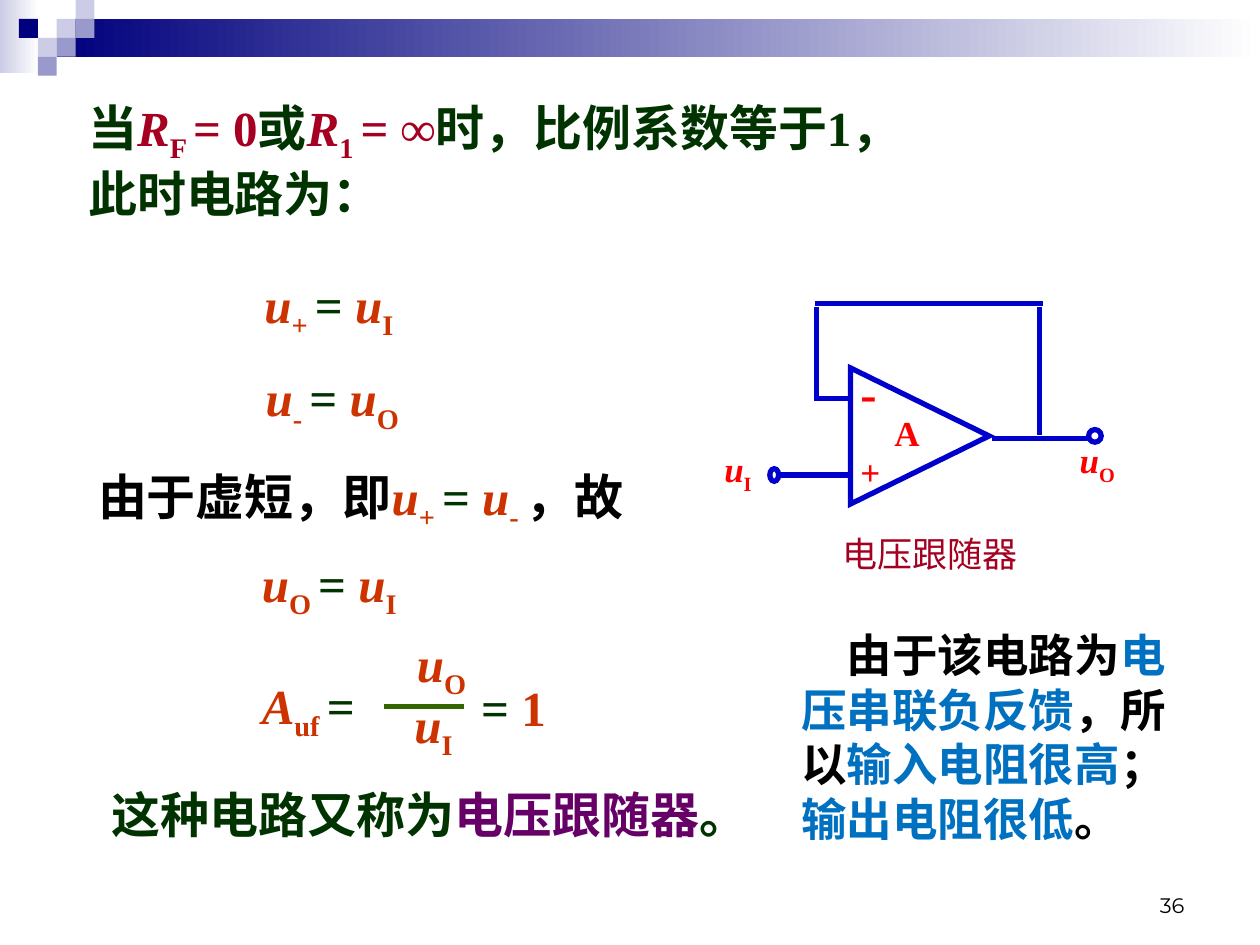
from lxml.etree import SubElement
from pptx import Presentation
from pptx.dml.color import RGBColor
from pptx.enum.shapes import MSO_CONNECTOR as CONNECTOR, MSO_SHAPE as SHAPE
from pptx.enum.text import MSO_ANCHOR as ANCHOR, MSO_AUTO_SIZE as AUTO, PP_ALIGN as ALIGN
from pptx.oxml.ns import qn
from pptx.util import Inches, Pt

COLORS = {
    "navy": "00007D", "pale": "CCCCE6", "mid": "9999CC", "white": "FFFFFF",
    "green": "003300", "crimson": "A50021", "orange": "CC3300", "black": "000000",
    "purple": "660066", "sky": "0070C0", "wire": "0000CC", "red": "FF0000",
    "bar": "336600",
}
LATIN, CJK = "Times New Roman", "Noto Sans CJK SC"


def rgb(name):
    return RGBColor.from_string(COLORS[name])


def var(name, sub, color="orange"):
    """Runs of an italic variable with its subscript."""
    return [(name, color, "i"), (sub, color, "sub")]


def add_runs(p, runs, size, font=LATIN, bold=True):
    for text, color, *style in runs:
        r = p.add_run()
        r.text = text
        r.font.name, r.font.size, r.font.bold = font, Pt(size), bold
        r.font.italic = "i" in style
        r.font.color.rgb = rgb(color)
        rPr = r._r.get_or_add_rPr()
        if "sub" in style:
            rPr.set("baseline", "-25000")
        SubElement(rPr, qn("a:ea")).set("typeface", CJK)


def add_text(slide, box, runs, size=28, **run_format):
    sp = slide.shapes.add_textbox(*map(Inches, box))
    tf = sp.text_frame
    tf.word_wrap = True
    add_runs(tf.paragraphs[0], runs, size, **run_format)
    return tf


def add_block(slide, box, fill, fade=False):
    sp = slide.shapes.add_shape(SHAPE.RECTANGLE, *map(Inches, box))
    sp.shadow.inherit = False
    sp.line.fill.background()
    if fade:
        sp.fill.gradient()
        sp.fill.gradient_angle = 0
        for stop, color, position in zip(sp.fill.gradient_stops, (fill, "white"), (0, 1)):
            stop.color.rgb = rgb(color)
            stop.position = position
    else:
        sp.fill.solid()
        sp.fill.fore_color.rgb = rgb(fill)


def add_outline(slide, kind, box, rotation=0):
    sp = slide.shapes.add_shape(kind, *map(Inches, box))
    sp.shadow.inherit = False
    sp.rotation = rotation
    sp.fill.background()
    sp.line.color.rgb = rgb("wire")
    sp.line.width = Pt(3)
    # Sharp corners
    SubElement(sp.line._get_or_add_ln(), qn("a:miter")).set("lim", "800000")


def add_line(slide, x1, y1, x2, y2, color="wire"):
    line = slide.shapes.add_connector(CONNECTOR.STRAIGHT, *map(Inches, (x1, y1, x2, y2)))
    line.line.color.rgb = rgb(color)
    line.line.width = Pt(3)
    SubElement(line._element.spPr, qn("a:effectLst"))


def add_banner(slide):
    add_block(slide, (0, 0, 0.31, 0.58), "pale", fade=True)
    add_block(slide, (0.45, 0.15, 9.55, 0.3), "navy", fade=True)
    side = 0.15
    squares = [(3, 1, "pale"), (4, 0, "pale"), (4, 1, "mid"), (2, 2, "pale"),
               (1, 1, "navy"), (3, 2, "mid"), (2, 3, "mid")]
    for col, row, color in squares:
        add_block(slide, (col * side, row * side, side, side), color)


def add_title(slide):
    sp = slide.shapes.title
    sp.left, sp.top, sp.width, sp.height = map(Inches, (0.6, 0.72, 8.6, 1.1))
    tf = sp.text_frame
    tf.word_wrap, tf.auto_size = True, AUTO.NONE
    tf.vertical_anchor = ANCHOR.TOP
    first = [("当", "green"), *var("R", "F ", "crimson"), ("= 0", "crimson"),
             ("或", "green"), *var("R", "1 ", "crimson"), ("= ∞", "crimson"),
             ("时，比例系数等于1，", "green")]
    for p, runs in ((tf.paragraphs[0], first),
                    (tf.add_paragraph(), [("此时电路为：", "green")])):
        p.alignment = ALIGN.LEFT
        add_runs(p, runs, 28)


def add_circuit(slide):
    # Amplifier and terminals
    add_outline(slide, SHAPE.ISOSCELES_TRIANGLE, (6.76, 2.91, 1.08, 1.1), 90)
    add_outline(slide, SHAPE.OVAL, (6.11, 3.72, 0.07, 0.1))
    add_outline(slide, SHAPE.OVAL, (8.64, 3.41, 0.1, 0.1))
    # Input, output and feedback wires
    for wire in [(6.18, 3.77, 6.74, 3.77), (7.87, 3.48, 8.63, 3.48),
                 (6.48, 2.44, 6.48, 3.18), (6.47, 2.41, 8.28, 2.41),
                 (8.25, 2.44, 8.25, 3.45), (6.48, 3.16, 6.73, 3.16)]:
        add_line(slide, *wire)
    # Labels
    add_text(slide, (6.73, 2.83, 0.47, 0.57), [("-", "red")])
    for box, runs in [((6.73, 3.53, 0.54, 0.44), [("+", "red")]),
                      ((7, 3.22, 0.66, 0.44), [("A", "red")]),
                      ((8.47, 3.43, 0.64, 0.48), var("u", "O", "red")),
                      ((5.65, 3.5, 0.64, 0.48), var("u", "I", "red"))]:
        add_text(slide, box, runs, 20)
    add_text(slide, (6.59, 4.18, 1.94, 0.44), [("电压跟随器", "crimson")], 20,
             font=CJK, bold=False)


def add_derivation(slide):
    equals = ("= ", "green")
    for x, y, left, right in [(2, 2.13, "+ ", "I"), (2.01, 2.87, "- ", "O"),
                              (1.98, 4.34, "O ", "I")]:
        add_text(slide, (x, y, 1.99, 0.63), [*var("u", left), equals, *var("u", right)])
    add_text(slide, (0.68, 3.65, 4.73, 0.63),
             [("由于虚短，即", "black"), *var("u", "+ "), equals, *var("u", "- "),
              ("，故", "black")])
    # Gain fraction
    add_text(slide, (1.98, 5.31, 1.06, 0.63), [*var("A", "uf "), ("=", "green")])
    add_line(slide, 3.05, 5.61, 3.68, 5.61, "bar")
    add_text(slide, (3.21, 4.98, 0.7, 0.63), var("u", "O"))
    add_text(slide, (3.19, 5.46, 0.7, 0.63), var("u", "I"))
    add_text(slide, (3.72, 5.33, 0.82, 0.57), [equals, ("1", "orange")])


def add_conclusions(slide):
    add_text(slide, (0.79, 6.18, 8.49, 0.57),
             [("这种电路又称为", "green"), ("电压跟随器", "purple"), ("。", "green")])
    tf = add_text(slide, (6.26, 4.93, 3.23, 1.84),
                  [("由于该电路为", "black"), ("电压串联负反馈", "sky"),
                   ("，所以", "black"), ("输入电阻很高", "sky"), ("；", "black"),
                   ("输出电阻很低", "sky"), ("。", "black")], 26)
    # First-line indent of one character
    tf.paragraphs[0]._p.get_or_add_pPr().set("indent", str(Pt(26)))


def add_page_number(slide):
    tf = add_text(slide, (7.17, 6.83, 2.33, 0.5), [("36", "black")], 12,
                  font="Montserrat", bold=False)
    tf.vertical_anchor = ANCHOR.BOTTOM
    tf.paragraphs[0].alignment = ALIGN.RIGHT


def main():
    prs = Presentation()
    prs.slide_width, prs.slide_height = Inches(10), Inches(7.5)
    slide = prs.slides.add_slide(prs.slide_layouts[5])
    add_banner(slide)
    add_title(slide)
    add_circuit(slide)
    add_derivation(slide)
    add_conclusions(slide)
    add_page_number(slide)
    prs.save("out.pptx")


if __name__ == "__main__":
    main()
